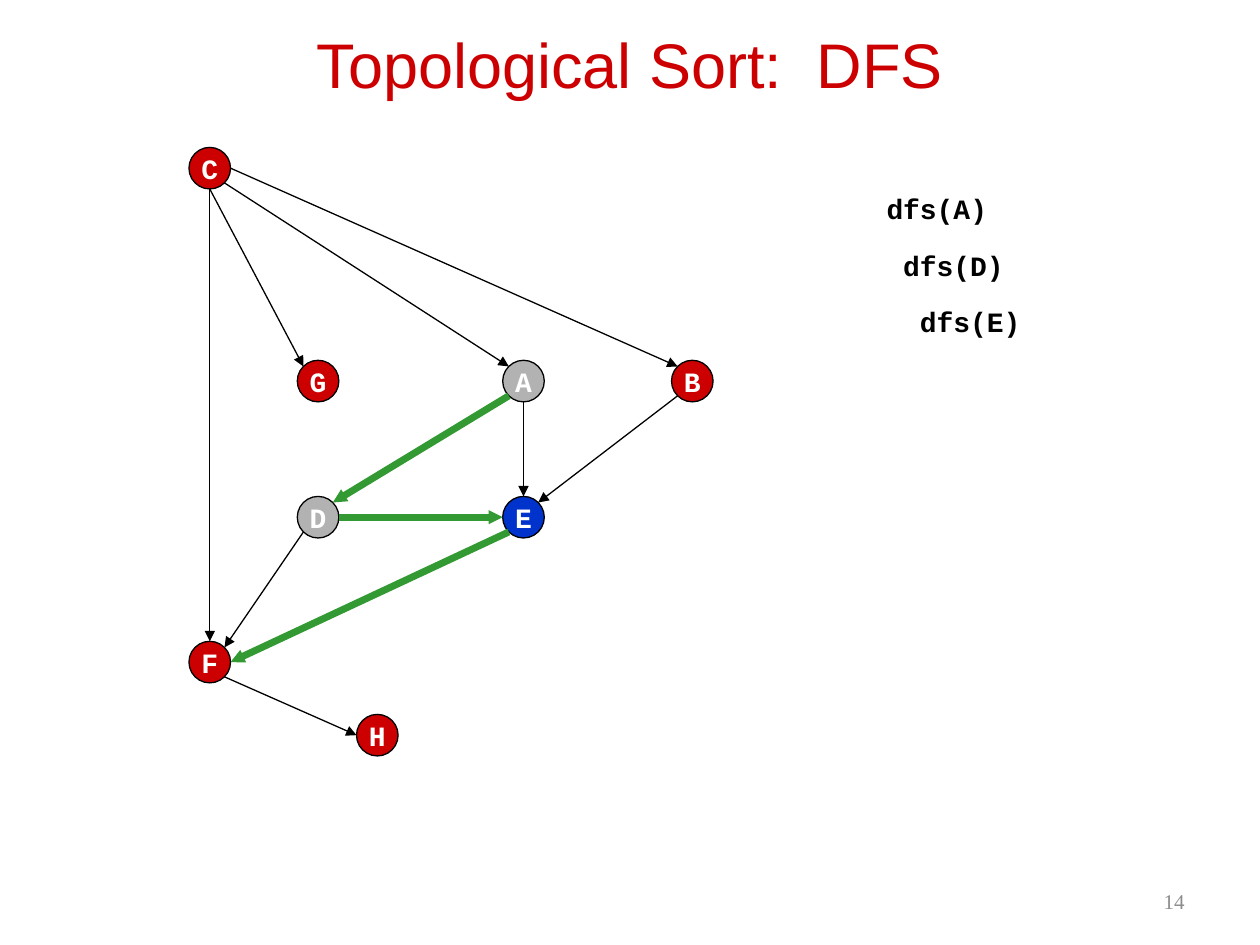
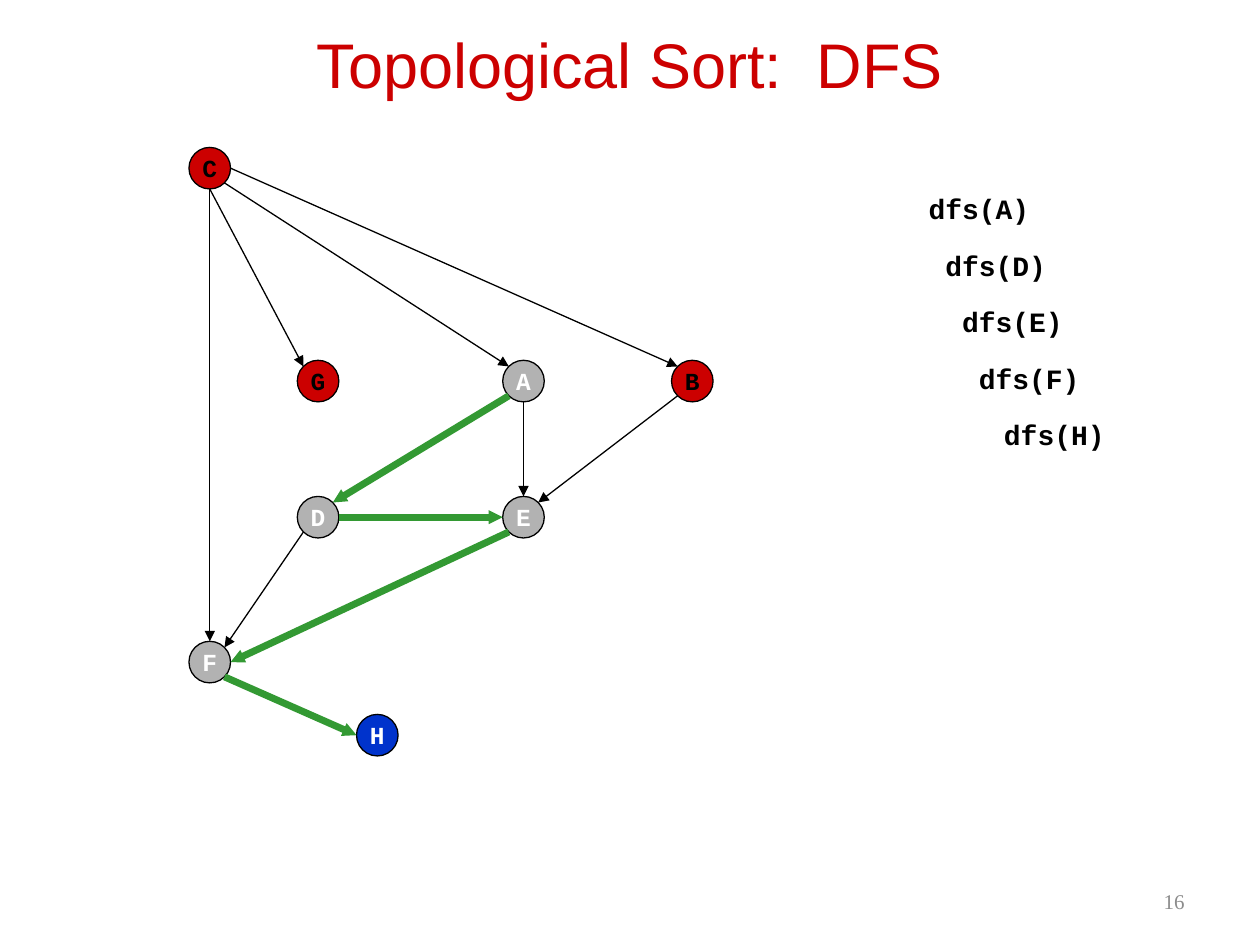
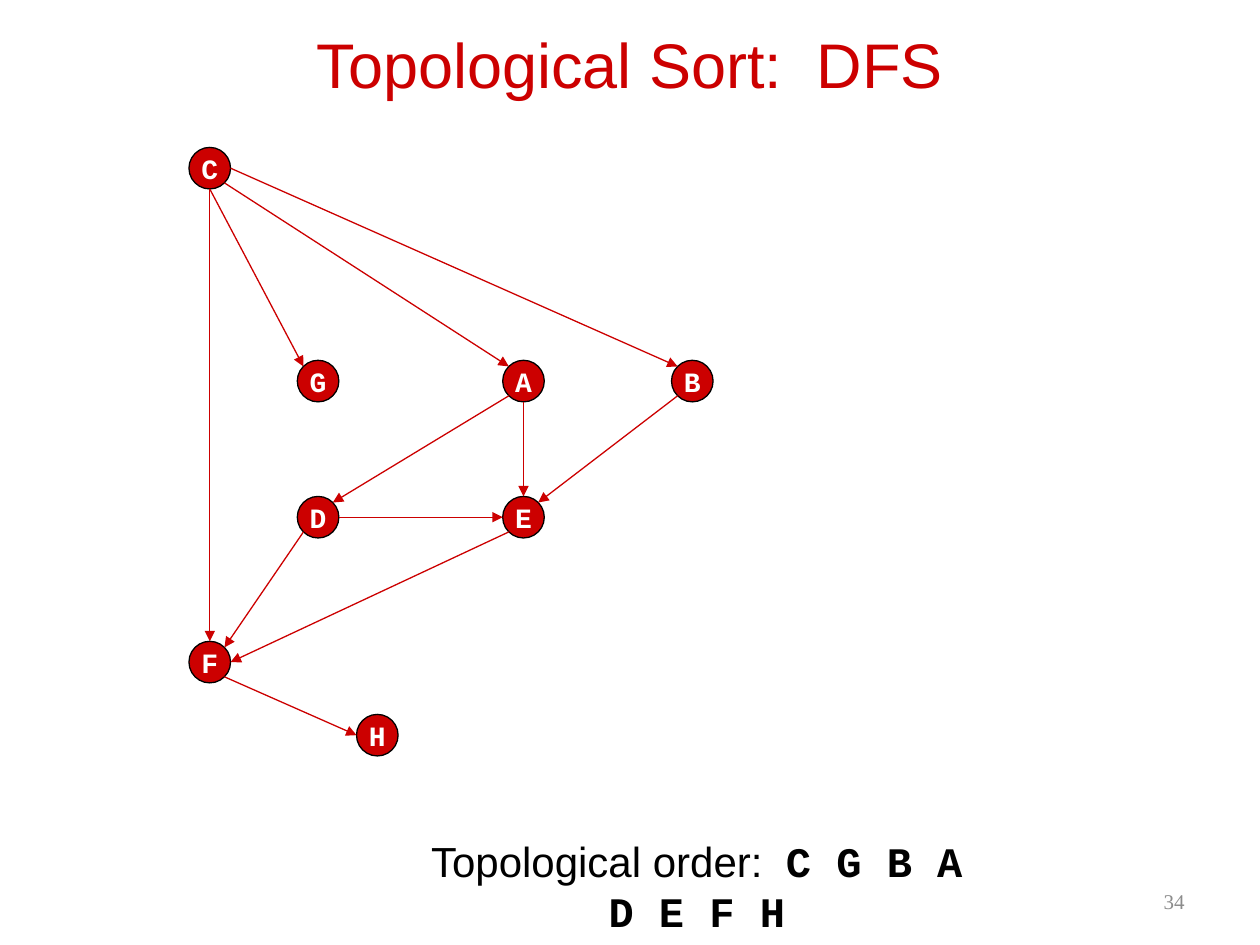
from math import sqrt

from lxml import etree
from pptx import Presentation
from pptx.dml.color import RGBColor
from pptx.enum.shapes import MSO_CONNECTOR as Link, MSO_SHAPE as Shape
from pptx.enum.text import MSO_ANCHOR as Anchor, PP_ALIGN as Align
from pptx.oxml.ns import qn
from pptx.util import Inches, Pt

# Shared look
RED, GRAY, BLUE, GREEN = "CC0000", "B2B2B2", "0033CC", "339933"
BLACK, WHITE, PALE = "000000", "FFFFFF", "8C8C8C"
CODE = "Courier New"
SIZE = 0.33

# The graph: top left corner of each node, and edges with their end sides
nodes = {
    "F": (1.5, 5.09), "C": (1.5, 1.17), "G": (2.36, 2.86), "A": (3.99, 2.86),
    "B": (5.33, 2.86), "D": (2.36, 3.94), "E": (3.99, 3.94), "H": (2.83, 5.67),
}
edges = [
    ("CF", "s", "n"), ("CA", "se", "nw"), ("CB", "e", "nw"),
    ("CG", "s", "nw"), ("DF", "sw", "ne"), ("BE", "sw", "ne"),
    ("AE", "s", "n"), ("AD", "sw", "ne"), ("DE", "e", "w"),
    ("EF", "sw", "e"), ("FH", "se", "w"),
]
rim = SIZE / 2
diag = rim / sqrt(2)
sides = {
    "n": (0, -rim), "s": (0, rim), "w": (-rim, 0), "e": (rim, 0),
    "nw": (-diag, -diag), "ne": (diag, -diag),
    "sw": (-diag, diag), "se": (diag, diag),
}

# What changes from slide to slide
steps = [
    dict(page="14", calls=["dfs(A)", "  dfs(D)", "    dfs(E)"], width=1.53,
         done="AD", now="E", tree=["AD", "DE", "EF"],
         size=16, idle=WHITE, line=BLACK),
    dict(page="16", calls=["dfs(A)", "  dfs(D)", "    dfs(E)",
                           "      dfs(F)", "         dfs(H)"], width=2.2,
         done="ADEF", now="H", tree=["AD", "DE", "EF", "FH"],
         size=14, idle=BLACK, line=BLACK),
    dict(page="34", calls=[], width=0, done="", now="", tree=[],
         size=16, idle=WHITE, line=RED),
]


def rgb(code):
    return RGBColor.from_string(code)


def write(para, text, size=16, font=CODE, color=BLACK, bold=False,
          align=Align.CENTER):
    para.alignment = align
    run = para.add_run()
    run.text = text
    run.font.size = Pt(size)
    run.font.name = font
    run.font.bold = bold
    run.font.color.rgb = rgb(color)


deck = Presentation()
deck.slide_width, deck.slide_height = Inches(10), Inches(7.5)

for step in steps:
    slide = deck.slides.add_slide(deck.slide_layouts[5])
    shapes = slide.shapes

    # Title
    title = shapes.title
    title.left, title.top = Inches(0.5), Inches(0.25)
    title.width, title.height = Inches(9), Inches(0.51)
    title.text_frame.vertical_anchor = Anchor.MIDDLE
    write(title.text_frame.paragraphs[0], "Topological Sort:  DFS",
          size=36, font="Arial", color=RED)

    # Stack of calls
    if step["calls"]:
        box = shapes.add_textbox(Inches(6.67), Inches(1.42),
                                 Inches(step["width"]), Inches(1.06))
        frame = box.text_frame
        for i, call in enumerate(step["calls"]):
            para = frame.add_paragraph() if i else frame.paragraphs[0]
            para.line_spacing = 1.2
            if i:
                para.space_before = Pt(9.3)
            write(para, call, bold=True)

    # Nodes
    for name, (x, y) in nodes.items():
        node = shapes.add_shape(Shape.OVAL, Inches(x), Inches(y),
                                Inches(SIZE), Inches(SIZE))
        seen = name in step["done"]
        live = name == step["now"]
        node.shadow.inherit = False
        node.fill.solid()
        node.fill.fore_color.rgb = rgb(BLUE if live else GRAY if seen else RED)
        node.line.color.rgb = rgb(BLACK)
        node.line.width = Pt(0.75)
        frame = node.text_frame
        frame.word_wrap = False
        frame.vertical_anchor = Anchor.MIDDLE
        write(frame.paragraphs[0], name, size=step["size"], bold=True,
              color=WHITE if seen or live else step["idle"])

    # Edges
    for pair, out, into in edges:
        ends = []
        for name, side in zip(pair, (out, into)):
            for start, shift in zip(nodes[name], sides[side]):
                ends.append(Inches(start + rim + shift))
        edge = shapes.add_connector(Link.STRAIGHT, *ends)
        tree = pair in step["tree"]
        edge.line.color.rgb = rgb(GREEN if tree else step["line"])
        edge.line.width = Pt(4 if tree else 0.75)
        head = etree.SubElement(edge.line._get_or_add_ln(), qn("a:tailEnd"))
        head.set("type", "triangle")
        if tree:
            head.set("w", "sm")
            head.set("len", "sm")
        etree.SubElement(edge._element.spPr, qn("a:effectLst"))

    # Final order
    if not step["calls"]:
        box = shapes.add_textbox(Inches(3.18), Inches(6.58),
                                 Inches(4.7), Inches(0.4))
        box.text_frame.word_wrap = True
        para = box.text_frame.paragraphs[0]
        write(para, "Topological order:  ", size=24, font="Arial")
        write(para, "C G B A D E F H", size=24, bold=True)

    # Page number
    box = shapes.add_textbox(Inches(7.17), Inches(6.95),
                             Inches(2.33), Inches(0.4))
    box.text_frame.vertical_anchor = Anchor.MIDDLE
    write(box.text_frame.paragraphs[0], step["page"], size=12,
          font="Times New Roman", color=PALE, align=Align.RIGHT)

deck.save("out.pptx")
